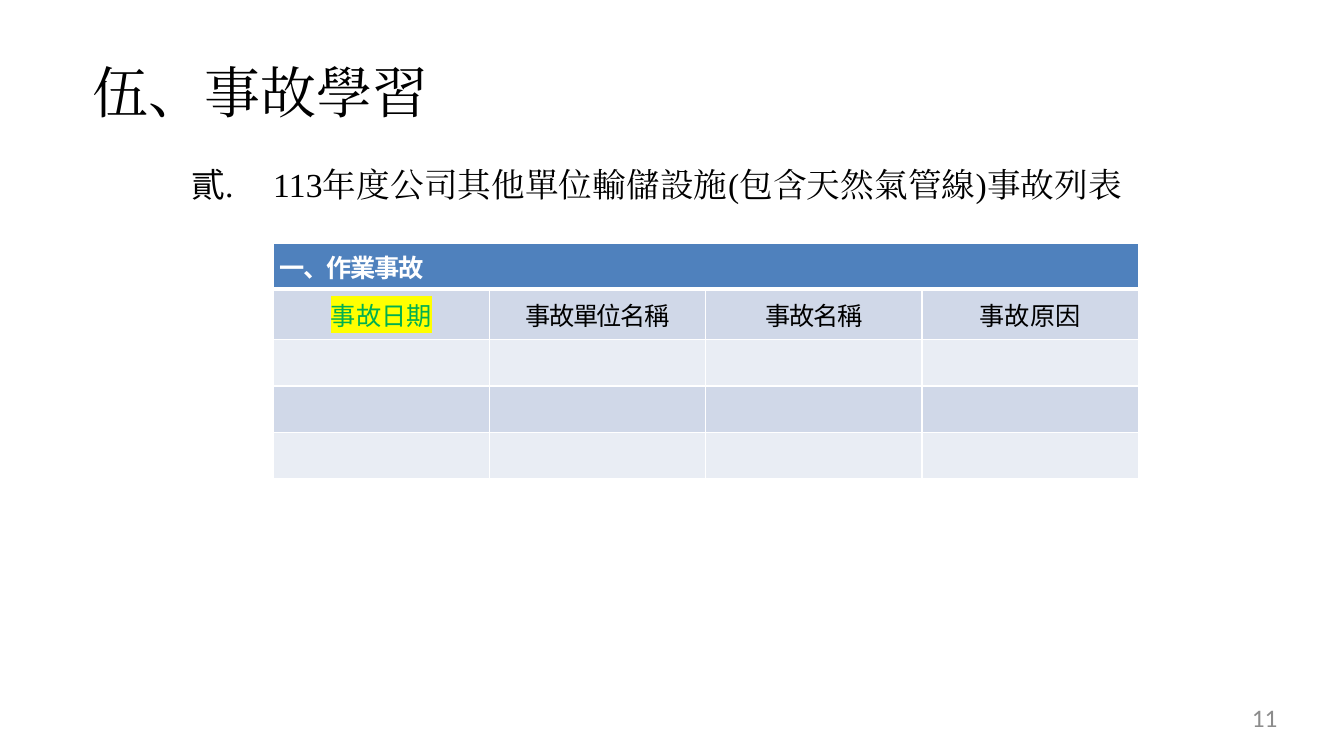
from lxml import etree
from pptx import Presentation
from pptx.dml.color import RGBColor
from pptx.enum.text import MSO_ANCHOR, PP_ALIGN
from pptx.oxml.ns import qn
from pptx.util import Emu, Inches, Pt

LEFT, CENTER, RIGHT = PP_ALIGN.LEFT, PP_ALIGN.CENTER, PP_ALIGN.RIGHT
TOP, MIDDLE = MSO_ANCHOR.TOP, MSO_ANCHOR.MIDDLE

BLACK = RGBColor(0x00, 0x00, 0x00)
WHITE = RGBColor(0xFF, 0xFF, 0xFF)
GRAY = RGBColor(0x8C, 0x8C, 0x8C)
GREEN = RGBColor(0x00, 0xB0, 0x50)
YELLOW = RGBColor(0xFF, 0xFF, 0x00)
HEADER_BLUE = RGBColor(0x4F, 0x81, 0xBD)
BAND_DARK = RGBColor(0xD0, 0xD8, 0xE8)
BAND_LIGHT = RGBColor(0xE9, 0xED, 0xF4)

SERIF, SANS, NUMBER_FONT = "Times New Roman", "Noto Sans CJK SC", "Calibri"
SLIDE_WIDTH, SLIDE_HEIGHT = Inches(13.33), Inches(7.5)

TABLE_HEADING = "一、作業事故"
COLUMN_NAMES = ["事故日期", "事故單位名稱", "事故名稱", "事故原因"]
COLUMN_SPACING = [0, -1, -1, 0]
ROW_HEIGHTS = [0.46, 0.5, 0.46, 0.46, 0.46]


def area(left, top, width, height):
    """Turn percentages of the slide into lengths."""
    return [Emu(int(share * side / 100)) for share, side in
            zip((left, top, width, height), (SLIDE_WIDTH, SLIDE_HEIGHT) * 2)]


def add_color(parent, color):
    etree.SubElement(parent, qn("a:srgbClr"), val=str(color))


def write(para, text, font, size, color, align=LEFT, bold=False, spacing=0, highlight=None):
    span = para.add_run()
    span.text = text
    para.alignment = align
    for target in (para.font, span.font):
        target.name, target.size, target.bold = font, Pt(size), bold
        target.color.rgb = color
    properties = span.font._element
    properties.set("spc", str(int(spacing * 100)))
    latin = properties.find(qn("a:latin"))
    latin.addnext(etree.Element(qn("a:ea"), typeface=font))
    if highlight is not None:
        marker = etree.Element(qn("a:highlight"))
        add_color(marker, highlight)
        latin.addprevious(marker)


def prepare_frame(box):
    frame = box.text_frame
    frame.word_wrap = True
    frame.vertical_anchor = TOP
    frame.margin_left = frame.margin_right = frame.margin_top = frame.margin_bottom = 0
    return frame.paragraphs[0]


def set_indent(para, margin, indent=0, numbering=None, start=1):
    properties = para._p.get_or_add_pPr()
    properties.set("marL", str(Inches(margin)))
    properties.set("indent", str(Inches(indent)))
    if numbering:
        etree.SubElement(properties, qn("a:buAutoNum"), type=numbering, startAt=str(start))


def add_text(page, place):
    return prepare_frame(page.shapes.add_textbox(*place))


def format_cell(cell, color, top=1, bottom=1):
    cell.vertical_anchor = MIDDLE
    cell.margin_left = cell.margin_right = Inches(0.06)
    cell.margin_top = cell.margin_bottom = Inches(0.03)
    properties = cell._tc.get_or_add_tcPr()
    for side, width in (("L", 1), ("R", 1), ("T", top), ("B", bottom)):
        line = etree.SubElement(properties, qn("a:ln" + side), w=str(Pt(width)))
        add_color(etree.SubElement(line, qn("a:solidFill")), WHITE)
    cell.fill.solid()
    cell.fill.fore_color.rgb = color


def add_accident_table(page, place):
    table = page.shapes.add_table(len(ROW_HEIGHTS), len(COLUMN_NAMES), *place).table
    table.first_row = table.horz_banding = False
    for index, height in enumerate(ROW_HEIGHTS):
        table.rows[index].height = Inches(height)
        band = HEADER_BLUE if index == 0 else BAND_DARK if index % 2 else BAND_LIGHT
        for cell in table.rows[index].cells:
            format_cell(cell, band, top=3 if index == 1 else 1, bottom=3 if index == 0 else 1)

    # Heading across all columns
    heading = table.cell(0, 0)
    heading.merge(table.cell(0, len(COLUMN_NAMES) - 1))
    write(heading.text_frame.paragraphs[0], TABLE_HEADING, SANS, 18, WHITE,
          bold=True, spacing=-1)

    # Column names, the first one highlighted
    for column, (name, spacing) in enumerate(zip(COLUMN_NAMES, COLUMN_SPACING)):
        first = column == 0
        write(table.cell(1, column).text_frame.paragraphs[0], name, SANS, 18,
              GREEN if first else BLACK, CENTER, spacing=spacing,
              highlight=YELLOW if first else None)


def main():
    deck = Presentation()
    deck.slide_width, deck.slide_height = SLIDE_WIDTH, SLIDE_HEIGHT
    page = deck.slides.add_slide(deck.slide_layouts[5])

    # Title
    title = page.shapes.title
    title.left, title.top, title.width, title.height = area(6.75, 7.6, 86.57, 9.07)
    para = prepare_frame(title)
    set_indent(para, 0.02)
    write(para, "伍、事故學習", SERIF, 40, BLACK, spacing=0.1)

    # Accident table
    add_accident_table(page, area(20.33, 32.13, 64.37, 31.2))

    # Page number
    write(add_text(page, area(72.02, 92.93, 23.03, 4)), "11", NUMBER_FONT, 18, GRAY, RIGHT)

    # Numbered section heading
    para = add_text(page, area(14.1, 21.73, 76.82, 5.33))
    set_indent(para, 0.83, -0.81, "ea1ChtPeriod", 2)
    write(para, "113年度公司其他單位輸儲設施(包含天然氣管線)事故列表", SERIF, 24, BLACK,
          spacing=0.1)

    deck.save("out.pptx")


if __name__ == "__main__":
    main()
